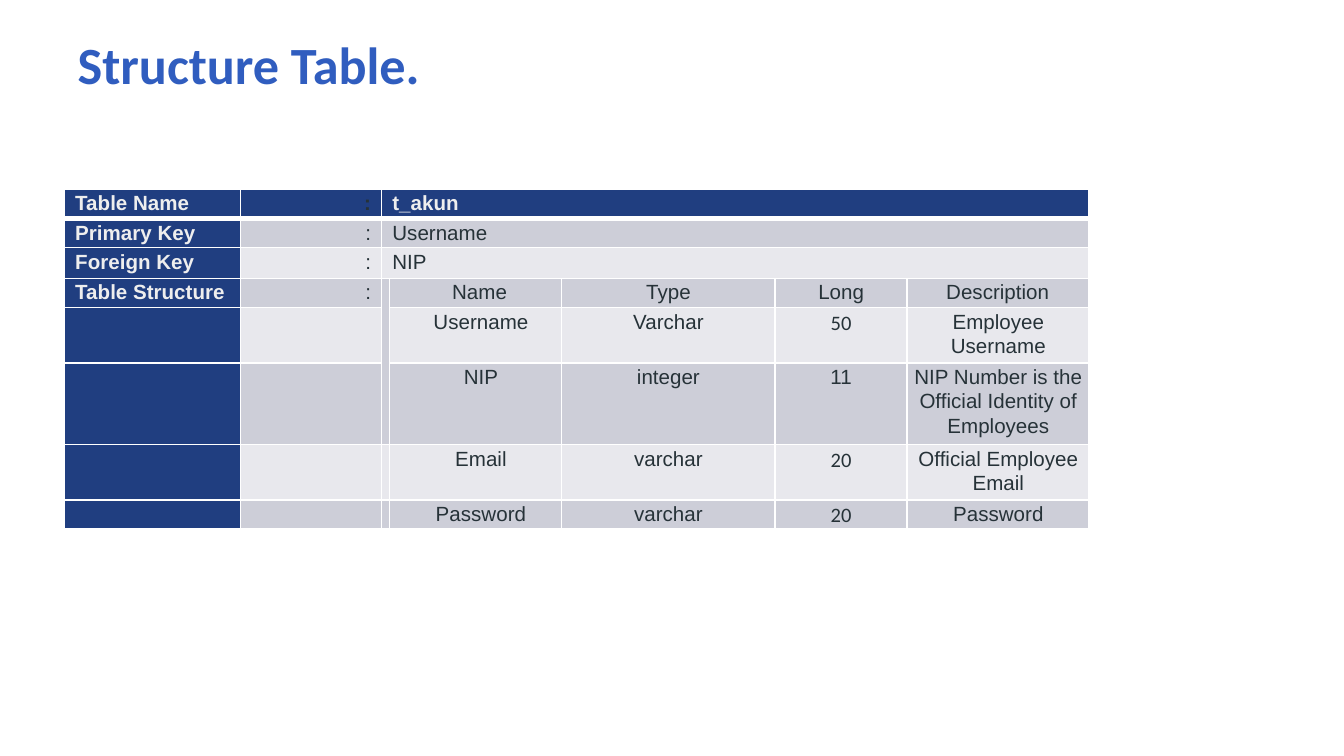
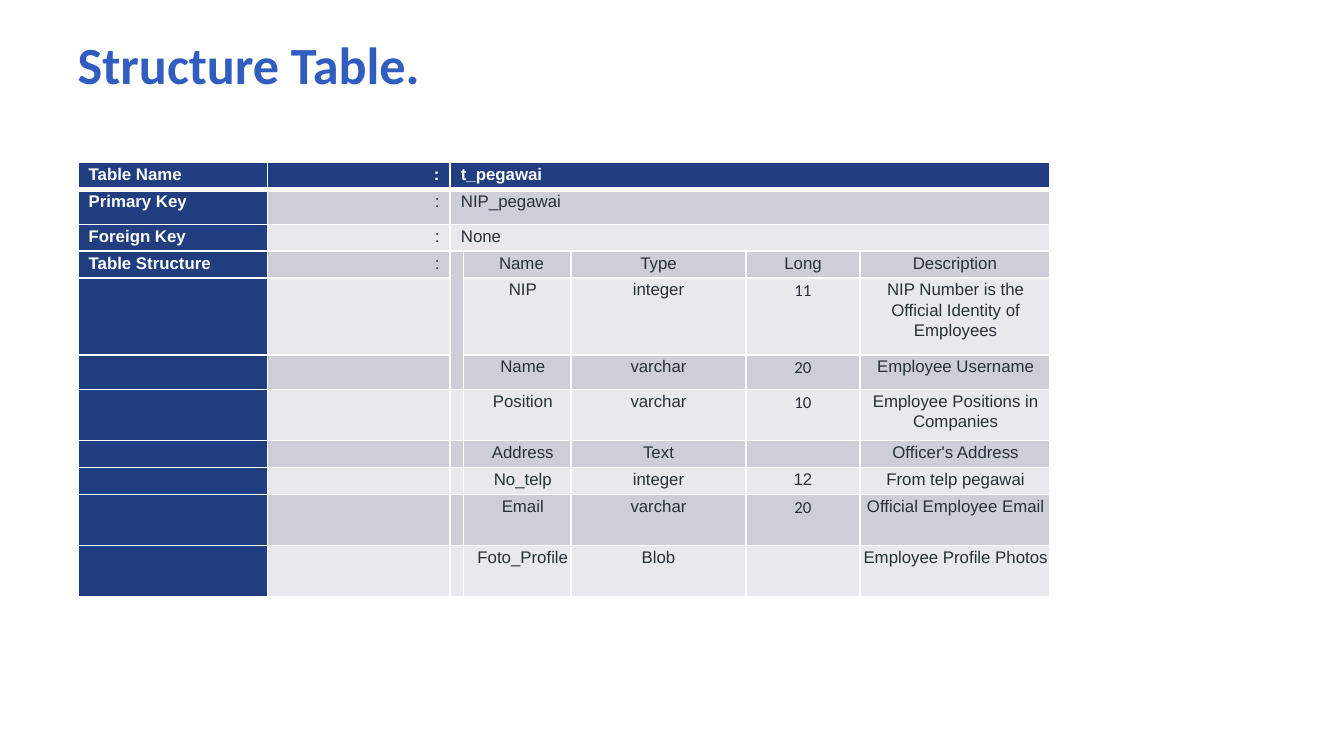
"""Build two slides that describe the structure of database tables."""
from dataclasses import dataclass

from lxml import etree
from pptx import Presentation
from pptx import util as u
from pptx.dml.color import RGBColor
from pptx.enum import text
from pptx.oxml import ns


@dataclass(frozen=True)
class Theme:
    """Colours, fonts and sizes shared by the slides."""
    title: str = "305DBF"
    navy: str = "203E80"
    bands: tuple = ("E8E8ED", "CDCED8")
    ink: str = "263238"
    border: str = "FFFFFF"
    body_font: str = "Arial"
    accent_font: str = "Calibri"
    title_size: int = 28
    thin: int = 1
    thick: int = 3
    inset: float = 0.01
    line_spacing: float = 1.07
    space_after: int = 8


@dataclass(frozen=True)
class Structure:
    """Content and measures of one structure table."""
    keys: tuple
    records: tuple
    box: tuple
    columns: tuple
    rows: tuple
    size: int
    label_color: str
    header_colon: str
    arial_length: str


THEME = Theme()
LEFT, CENTER, RIGHT = text.PP_ALIGN.LEFT, text.PP_ALIGN.CENTER, text.PP_ALIGN.RIGHT
LABELS = ("Table Name", "Primary Key", "Foreign Key", "Table Structure")
FIELDS = ("Name", "Type", "Long", "Description")
FIELD_INDENTS = ((0.13, 0.07), (0.11, 0.11), (0.1, 0.1), (0.1, 0.1))
RECORD_INDENTS = ((0.08, 0), (0.11, 0.11), (0.1, 0.1), (0.01, 0))
KEY_INDENT = 0.07

ACCOUNT = Structure(
    keys=("t_akun", "Username", "NIP"),
    records=(
        ("Username", "Varchar", "50", "Employee Username"),
        ("NIP", "integer", "11", "NIP Number is the Official Identity of Employees"),
        ("Email", "varchar", "20", "Official Employee Email"),
        ("Password", "varchar", "20", "Password"),
    ),
    box=(0.48, 1.41, 7.6, 2.46),
    columns=(1.31, 1.05, 0.05, 1.28, 1.59, 0.98, 1.35),
    rows=(0.21, 0.21, 0.23, 0.21, 0.37, 0.05, 0.21, 0.21),
    size=11, label_color="EEEEEE", header_colon=THEME.ink, arial_length="11",
)
EMPLOYEE = Structure(
    keys=("t_pegawai", "NIP_pegawai", "None"),
    records=(
        ("NIP", "integer", "11", "NIP Number is the Official Identity of Employees"),
        ("Name", "varchar", "20", "Employee Username"),
        ("Position", "varchar", "10", "Employee Positions in Companies"),
        ("Address", "Text", "", "Officer's Address"),
        ("No_telp", "integer", "12", "From telp pegawai"),
        ("Email", "varchar", "20", "Official Employee Email"),
        ("Foto_Profile", "Blob", "", "Employee Profile Photos"),
    ),
    box=(0.58, 1.21, 7.22, 3.21),
    columns=(1.41, 1.36, 0.1, 0.8, 1.3, 0.85, 1.41),
    rows=(0.2, 0.26, 0.2, 0.2, 0.57, 0.26, 0.38, 0.2, 0.2, 0.38, 0.38),
    size=9, label_color="FFFFFF", header_colon="FFFFFF", arial_length="12",
)


def set_font(para, name, size, color, bold):
    """Set the font of a whole paragraph."""
    font = para.font
    font.name, font.size, font.bold = name, u.Pt(size), bold
    font.color.rgb = RGBColor.from_string(color)


def set_borders(cell, row):
    """Draw the borders of a cell, thick where the header row ends."""
    widths = {"lnL": THEME.thin, "lnR": THEME.thin,
              "lnT": THEME.thin,
              "lnB": THEME.thick if row == 0 else THEME.thin}
    if row == 1:
        widths["lnT"] = THEME.thick
    properties = cell._tc.get_or_add_tcPr()
    for place, (side, width) in enumerate(widths.items()):
        line = etree.Element(ns.qn(f"a:{side}"), w=str(u.Pt(width)))
        fill = etree.SubElement(line, ns.qn("a:solidFill"))
        etree.SubElement(fill, ns.qn("a:srgbClr"), val=THEME.border)
        properties.insert(place, line)


def style_cell(cell, row, column, size):
    """Give a cell its fill, borders, margins and empty-text size."""
    navy = row == 0 or column == 0
    cell.fill.solid()
    cell.fill.fore_color.rgb = RGBColor.from_string(THEME.navy if navy else THEME.bands[row % 2])
    set_borders(cell, row)
    cell.margin_left = cell.margin_right = u.Inches(THEME.inset)
    cell.margin_top = cell.margin_bottom = u.Inches(THEME.inset)
    set_font(cell.text_frame.paragraphs[0], THEME.body_font, size, THEME.ink, False)


def write_cell(cell, words, size, align=LEFT, indents=(KEY_INDENT, KEY_INDENT),
               color=THEME.ink, bold=False, font=THEME.body_font):
    """Write one paragraph into a table cell."""
    if not words:
        return
    para = cell.text_frame.paragraphs[0]
    para.text = words
    para.alignment = align
    para.line_spacing = THEME.line_spacing
    para.space_after = u.Pt(THEME.space_after)
    for side, indent in zip(("marL", "marR"), indents):
        para._p.get_or_add_pPr().set(side, str(u.Inches(indent)))
    set_font(para, font, size, color, bold)


def add_title(page, box, words):
    """Place the slide title in the given box."""
    shape = page.shapes.add_textbox(*map(u.Inches, box))
    frame = shape.text_frame
    frame.word_wrap = True
    frame.vertical_anchor = text.MSO_ANCHOR.MIDDLE
    frame.margin_left = frame.margin_right = u.Inches(0.1)
    frame.margin_top = frame.margin_bottom = u.Inches(0.1)
    para = frame.paragraphs[0]
    para.text = words
    set_font(para, THEME.accent_font, THEME.title_size, THEME.title, True)


def add_grid(page, structure):
    """Add the empty, styled and merged table."""
    rows, columns = structure.rows, structure.columns
    shape = page.shapes.add_table(len(rows), len(columns), *map(u.Inches, structure.box))
    table = shape.table
    table.first_row = table.horz_banding = False
    for column, width in zip(table.columns, columns):
        column.width = u.Inches(width)
    for row, height in zip(table.rows, rows):
        row.height = u.Inches(height)
    shape.width, shape.height = map(u.Inches, structure.box[2:])
    for row in range(len(rows)):
        for column in range(len(columns)):
            style_cell(table.cell(row, column), row, column, structure.size)
    for row in range(len(structure.keys)):
        table.cell(row, 2).merge(table.cell(row, len(columns) - 1))
    table.cell(3, 2).merge(table.cell(5, 2))
    return table


def fill_keys(table, structure):
    """Write the labels, colons and key values."""
    size, bright = structure.size, structure.label_color
    for row, label in enumerate(LABELS):
        header = row == 0
        write_cell(table.cell(row, 0), label, size, color=bright, bold=True)
        write_cell(table.cell(row, 1), ":", size, RIGHT, bold=header,
                   color=structure.header_colon if header else THEME.ink)
    for row, value in enumerate(structure.keys):
        header = row == 0
        write_cell(table.cell(row, 2), value, size, bold=header,
                   color=bright if header else THEME.ink)


def fill_records(table, structure):
    """Write the field headings and one row for each record."""
    for row, record in enumerate((FIELDS, *structure.records), start=3):
        margins = FIELD_INDENTS if row == 3 else RECORD_INDENTS
        for column, (words, indents) in enumerate(zip(record, margins), start=3):
            accent = words.isdigit() and words != structure.arial_length
            write_cell(table.cell(row, column), words, structure.size, CENTER, indents,
                       font=THEME.accent_font if accent else THEME.body_font)


def add_structure_slide(deck, structure):
    """Add a slide with a title and a structure table."""
    page = deck.slides.add_slide(deck.slide_layouts[6])
    add_title(page, (0.48, 0, 7.42, 0.94), "Structure Table.")
    table = add_grid(page, structure)
    fill_keys(table, structure)
    fill_records(table, structure)


def main():
    """Build and save the deck."""
    deck = Presentation()
    deck.slide_width = u.Inches(10)
    deck.slide_height = deck.slide_width * 9 // 16
    for structure in (ACCOUNT, EMPLOYEE):
        add_structure_slide(deck, structure)
    deck.save("out.pptx")


if __name__ == "__main__":
    main()
